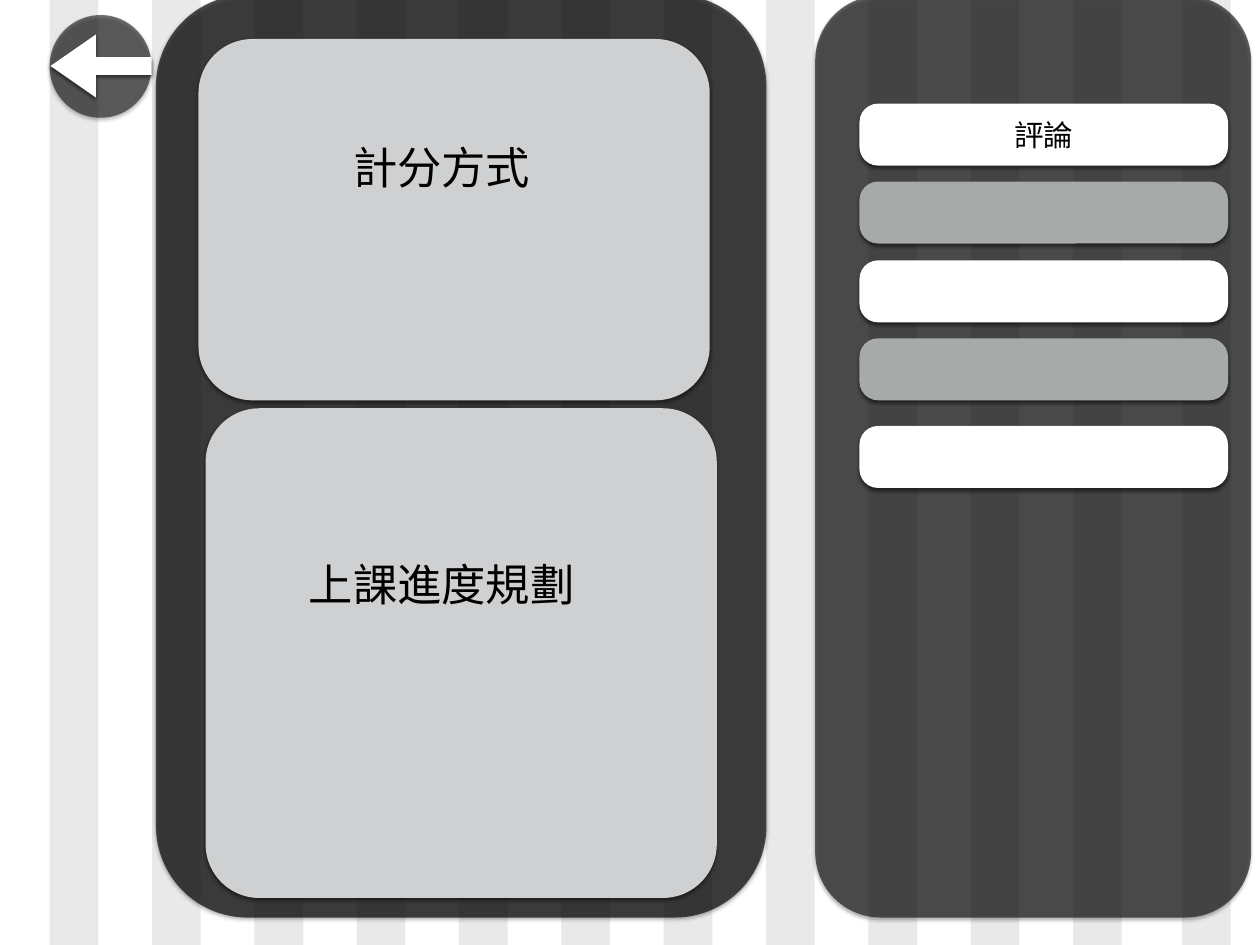
import pptx
import pptx.util
import pptx.dml.color
import pptx.enum.shapes
import pptx.enum.text
import pptx.oxml
import pptx.oxml.ns
from pptx.util import Inches

COLORS = {
    "stripe": "E9E9E9",
    "black": "000000",
    "white": "FFFFFF",
    "gray": "A6AAA9",
    "card": "DCDEE0",
}
FONT = "Arial"
SHAPE = pptx.enum.shapes.MSO_SHAPE
STRIPE_COUNT = 12
STRIPE_STEP = 1.155
LAST_STRIPE_LEFT = 13.34


def rgb(color):
    return pptx.dml.color.RGBColor.from_string(COLORS[color])


def add_block(shapes, kind, box, color, opacity=100, adjustments=()):
    """Add a borderless filled shape; box is left, top, width, height in inches."""
    block = shapes.add_shape(kind, *map(Inches, box))
    for index, value in enumerate(adjustments):
        block.adjustments[index] = value
    block.fill.solid()
    block.fill.fore_color.rgb = rgb(color)
    if opacity < 100:
        fill_color = block.fill._xPr.find(".//" + pptx.oxml.ns.qn("a:srgbClr"))
        add_alpha(fill_color, opacity)
    block.line.fill.background()
    block.shadow.inherit = False
    return block


def add_alpha(color_element, percent):
    alpha = pptx.oxml.parse_xml(
        f'<a:alpha {pptx.oxml.ns.nsdecls("a")} val="{percent * 1000}"/>')
    color_element.append(alpha)


def add_raised_block(*args, **kwargs):
    """Add a block with a soft shadow just below it."""
    block = add_block(*args, **kwargs)
    effects = block._element.spPr.find(pptx.oxml.ns.qn("a:effectLst"))
    effects.append(pptx.oxml.parse_xml(
        f'<a:outerShdw {pptx.oxml.ns.nsdecls("a")} blurRad="{pptx.util.Pt(3)}" '
        f'dist="{pptx.util.Pt(2)}" dir="5400000" rotWithShape="0">'
        f'<a:srgbClr val="{COLORS["black"]}"><a:alpha val="50000"/></a:srgbClr>'
        '</a:outerShdw>'))
    return block


def write_centered(frame, text, size, inset):
    frame.margin_left = frame.margin_right = Inches(inset)
    frame.margin_top = frame.margin_bottom = Inches(inset)
    frame.vertical_anchor = pptx.enum.text.MSO_ANCHOR.MIDDLE
    paragraph = frame.paragraphs[0]
    paragraph.alignment = pptx.enum.text.PP_ALIGN.CENTER
    run = paragraph.add_run()
    run.text = text
    run.font.name = FONT
    run.font.size = pptx.util.Pt(size)
    run.font.color.rgb = rgb("black")


def add_stripes(slide):
    stripes = slide.shapes.add_group_shape().shapes
    lefts = [0.56 + STRIPE_STEP * i for i in range(STRIPE_COUNT - 1)]
    for left in lefts + [LAST_STRIPE_LEFT]:
        add_block(stripes, SHAPE.RECTANGLE, (left, 0, 0.55, 10.67), "stripe")


def add_back_button(slide):
    button = slide.shapes.add_group_shape().shapes
    add_raised_block(button, SHAPE.OVAL, (0.56, 0.17, 1.15, 1.16), "black", 53)
    add_raised_block(button, SHAPE.LEFT_ARROW, (0.57, 0.39, 1.14, 0.71), "white",
                     adjustments=(0.28, 0.72))


def add_rounded(slide, box, color, opacity=100, corner=0.15):
    return add_raised_block(slide.shapes, SHAPE.ROUNDED_RECTANGLE, box, color,
                            opacity, (corner,))


def add_comment_rows(slide):
    for index, top in enumerate((1.17, 2.05, 2.94, 3.82, 4.81)):
        color = "gray" if index % 2 else "white"
        row = add_rounded(slide, (9.7, top, 4.16, 0.7), color, corner=0.3)
        if index == 0:
            write_centered(row.text_frame, "評論", 24, 0)


def add_card(slide, card_box, corner, label_box, label):
    add_rounded(slide, card_box, "card", 93, corner)
    frame = slide.shapes.add_textbox(*map(Inches, label_box)).text_frame
    frame.word_wrap = False
    frame.auto_size = pptx.enum.text.MSO_AUTO_SIZE.SHAPE_TO_FIT_TEXT
    write_centered(frame, label, 36, 0.06)


def main():
    deck = pptx.Presentation()
    deck.slide_width, deck.slide_height = Inches(14.22), Inches(10.67)
    slide = deck.slides.add_slide(deck.slide_layouts.get_by_name("Blank"))

    add_stripes(slide)
    add_back_button(slide)
    add_rounded(slide, (1.76, -0.06, 6.89, 10.42), "black", 66)
    add_rounded(slide, (9.2, -0.05, 4.92, 10.41), "black", 59)
    add_comment_rows(slide)
    add_card(slide, (2.24, 0.44, 5.77, 4.08), 0.15,
             (3.92, 1.48, 2.13, 0.81), "計分方式")
    add_card(slide, (2.32, 4.61, 5.77, 5.53), 0.11,
             (3.42, 6.19, 3.13, 0.81), "上課進度規劃")

    deck.save("out.pptx")


if __name__ == "__main__":
    main()
